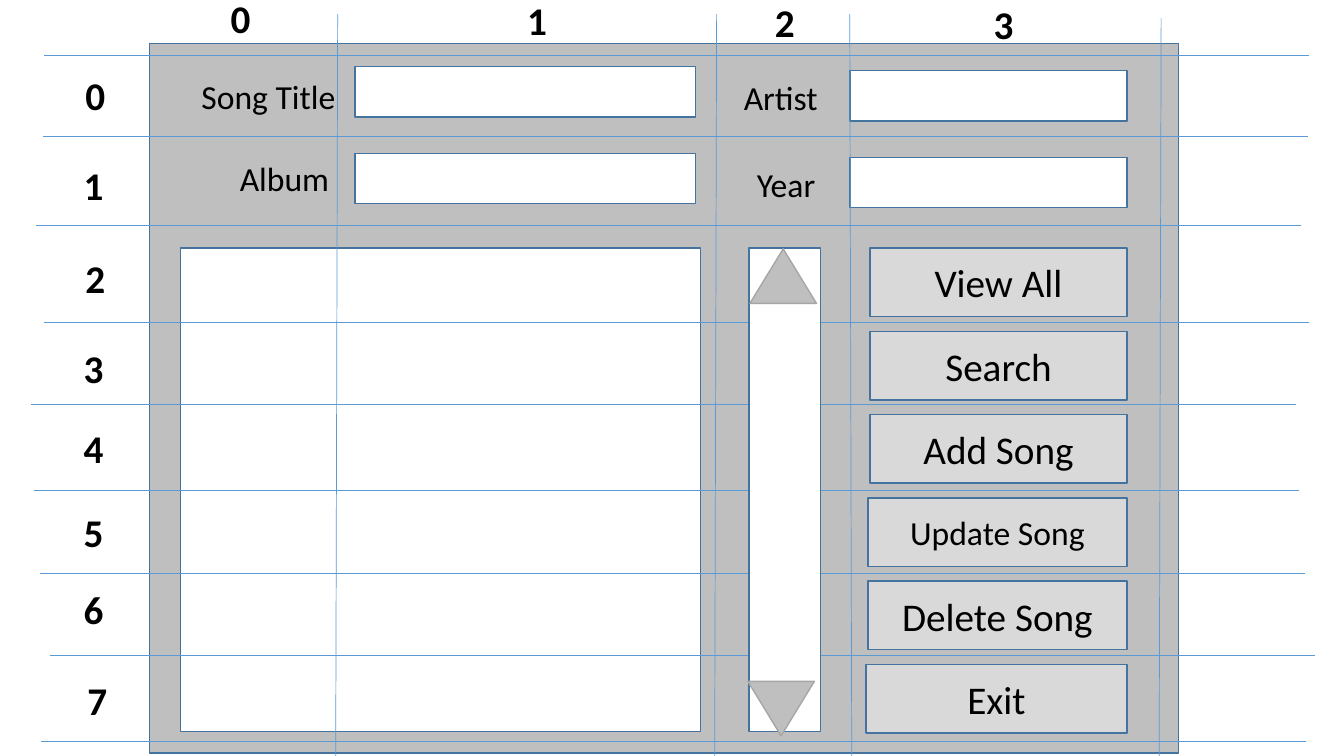
from dataclasses import dataclass

from lxml import etree
from pptx import Presentation
from pptx.dml.color import RGBColor
from pptx.enum.shapes import MSO_CONNECTOR, MSO_SHAPE
from pptx.enum.text import MSO_ANCHOR, MSO_AUTO_SIZE, PP_ALIGN
from pptx.oxml.ns import qn
from pptx.util import Pt

RECT = MSO_SHAPE.RECTANGLE
ARROW = MSO_SHAPE.ISOSCELES_TRIANGLE
LINE = MSO_CONNECTOR.STRAIGHT
MID = MSO_ANCHOR.MIDDLE
CENTER = PP_ALIGN.CENTER
GROW = MSO_AUTO_SIZE.SHAPE_TO_FIT_TEXT


@dataclass(frozen=True)
class Theme:
    font: str = "Calibri"
    ink: str = "000000"
    panel: str = "BFBFBF"
    field: str = "FFFFFF"
    button: str = "D9D9D9"
    edge: str = "43739E"
    tip: str = "A6A6A6"
    grid: str = "5B9BD5"
    small: int = 24
    large: int = 28


@dataclass(frozen=True)
class Box:
    x: float
    y: float
    w: float
    h: float


@dataclass(frozen=True)
class Label:
    text: str
    box: Box


@dataclass(frozen=True)
class Button:
    text: str
    left: float
    size: int


@dataclass(frozen=True)
class Column:
    top: float
    high: float
    low: float


@dataclass(frozen=True)
class Row:
    left: float
    y: float


@dataclass(frozen=True)
class Mark:
    x: float
    y: float


THEME = Theme()
HEIGHT = 540
deck = Presentation()
deck.slide_width, deck.slide_height = Pt(960), Pt(HEIGHT)
slide = deck.slides.add_slide(deck.slide_layouts[6])


def draw(box: Box, fill: str, edge: str = THEME.edge, kind=RECT):
    shape = slide.shapes.add_shape(kind, Pt(box.x), Pt(box.y), Pt(box.w), Pt(box.h))
    shape.shadow.inherit = False
    shape.fill.solid()
    shape.fill.fore_color.rgb = RGBColor.from_string(fill)
    shape.line.color.rgb = RGBColor.from_string(edge)
    shape.line.width = Pt(1)
    return shape


def style(frame, text: str, size: int, bold: bool = False):
    para = frame.paragraphs[0]
    para.text = text
    font = para.font
    font.name, font.size, font.bold = THEME.font, Pt(size), bold
    font.color.rgb = RGBColor.from_string(THEME.ink)
    return para


def write(label: Label, size: int, bold: bool = False, wrap: bool = True) -> None:
    box = label.box
    frame = slide.shapes.add_textbox(Pt(box.x), Pt(box.y), Pt(box.w), Pt(box.h)).text_frame
    frame.word_wrap = wrap
    frame.auto_size = GROW
    style(frame, label.text, size, bold)


def press(button: Button, y: float) -> None:
    box = Box(button.left, y, 805 - button.left, 49)
    frame = draw(box, THEME.button).text_frame
    frame.vertical_anchor = MID
    style(frame, button.text, button.size).alignment = CENTER


def rule(x: float, y: float, end: float, low: float) -> None:
    line = slide.shapes.add_connector(LINE, Pt(x), Pt(y), Pt(end), Pt(low))
    line.line.color.rgb = RGBColor.from_string(THEME.grid)
    line.line.width = Pt(0.5)
    etree.SubElement(line._element.spPr, qn("a:effectLst"))


def count(marks: list[Mark]) -> None:
    for i, mark in enumerate(marks):
        write(Label(str(i), Box(mark.x, mark.y, 28.8, 41)), THEME.large, True, False)


LABELS = [
    Label("Song Title", Box(136.8, 50.4, 178.6, 36)),
    Label("Album", Box(164.2, 109.4, 178.6, 36)),
    Label("Artist", Box(524.2, 51.1, 178.6, 36)),
    Label("Year", Box(533.5, 113.8, 146.9, 36)),
]
BUTTONS = [
    Button("View All", 621.4, THEME.large),
    Button("Search", 621.4, THEME.large),
    Button("Add Song", 621.4, THEME.large),
    Button("Update Song", 619.9, THEME.small),
    Button("Delete Song", 619.9, THEME.large),
    Button("Exit", 618.5, THEME.large),
]
ROWS = [
    Row(31.7, 39.6), Row(31, 97.2), Row(25.9, 161.3),
    Row(31.7, 230.4), Row(22.3, 288.7), Row(24.5, 350.6),
    Row(28.8, 409.7), Row(36, 468), Row(29.5, 529.2),
]
COLUMNS = [
    Column(10.1, 241.2, 239.8), Column(10.1, 511.9, 510.5),
    Column(10.1, 607, 608.4), Column(13, 829.4, 828),
]
HEADS = [Mark(157.7, -7.9), Mark(369.4, -5.8), Mark(546.5, -5), Mark(702.7, -3.6)]
SIDES = [
    Mark(54, 47.5), Mark(52.6, 111.6), Mark(54, 177.8), Mark(52.6, 242.6),
    Mark(52.6, 299.5), Mark(52.6, 359.3), Mark(52.6, 414.7), Mark(55.4, 479.5),
]

draw(Box(106.6, 31, 735.1, 506.9), THEME.panel)
for field in (Box(253.5, 47.5, 243.5, 36), Box(607, 50.4, 198, 36)):
    for i in range(2):
        draw(Box(field.x, field.y + 62 * i, field.w, field.h), THEME.field)
for label in LABELS:
    write(label, THEME.small)
draw(Box(128.9, 177.1, 371.5, 345.6), THEME.field)
for i, button in enumerate(BUTTONS):
    press(button, 177.1 + 59.5 * i)
for row in ROWS:
    rule(row.left, row.y, row.left + 903.6, row.y)
for col in COLUMNS:
    rule(col.low, HEIGHT, col.high, col.top)
draw(Box(535, 177.1, 51.1, 345.6), THEME.field)
draw(Box(535.7, 177.8, 47.5, 38.9), THEME.panel, THEME.tip, ARROW)
draw(Box(534.2, 486.7, 47.5, 38.9), THEME.panel, THEME.tip, ARROW).rotation = 180
count(HEADS)
count(SIDES)

deck.save("out.pptx")
